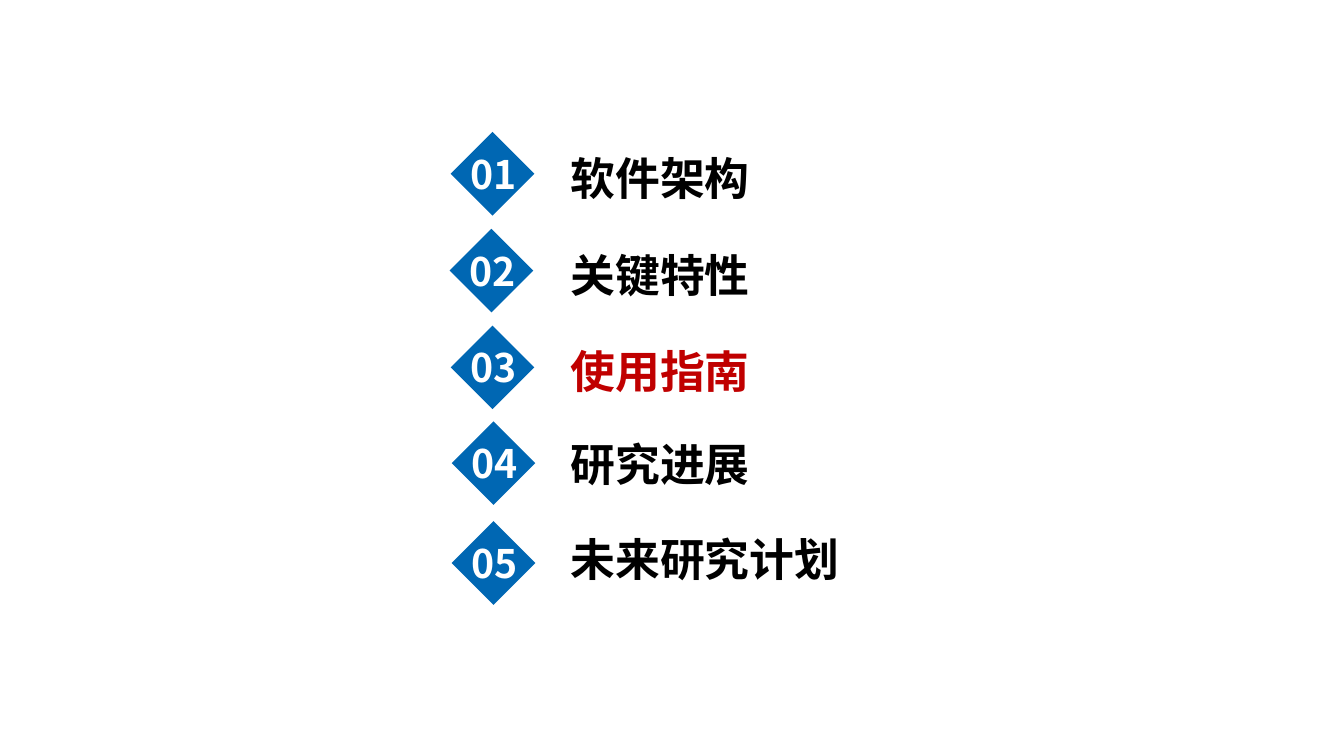
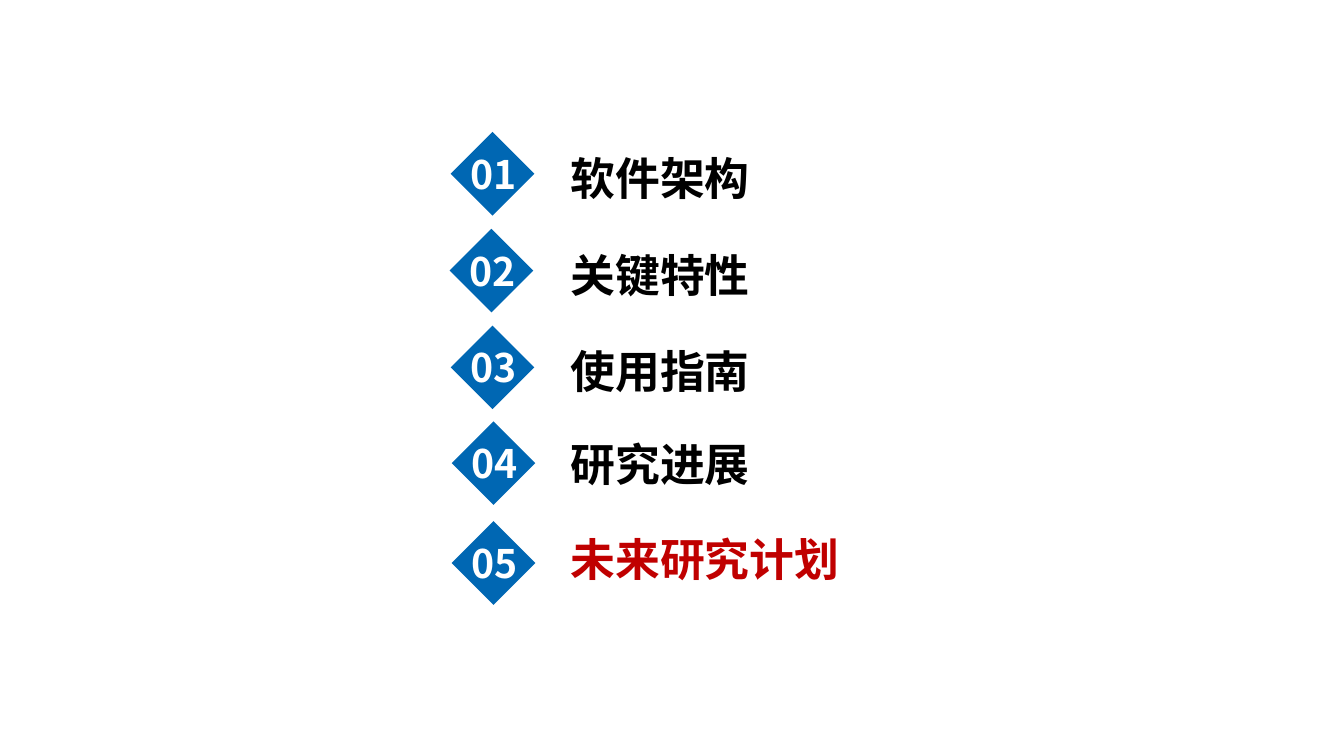
from typing import NamedTuple

from lxml import etree
from pptx import Presentation
from pptx import util as u
from pptx.dml.color import RGBColor
from pptx.enum import shapes, text
from pptx.oxml import ns
from pptx.slide import Slide

COLORS = {"blue": "0067B3", "red": "C00000", "black": "000000", "white": "FFFFFF"}
FONT = "Noto Sans CJK SC"
DIAMOND_SIZE = 0.83
NUMBER_OFFSET = 0.13
LABEL_LEFT = 5.56


class Section(NamedTuple):
    title: str
    left: float
    diamond_top: float
    label_top: float
    label_width: float


SECTIONS = [
    Section("软件架构", 4.47, 1.31, 1.45, 3.77),
    Section("关键特性", 4.46, 2.27, 2.41, 3.77),
    Section("使用指南", 4.47, 3.23, 3.36, 3.77),
    Section("研究进展", 4.48, 4.18, 4.28, 2.12),
    Section("未来研究计划", 4.48, 5.17, 5.23, 2.96),
]
HIGHLIGHTS = ["使用指南", "未来研究计划"]


def add_text(page: Slide, words: str, left: float, top: float, width: float,
             height: float, size: int, color: str,
             align: text.PP_ALIGN = text.PP_ALIGN.LEFT) -> None:
    box = page.shapes.add_textbox(
        u.Inches(left), u.Inches(top), u.Inches(width), u.Inches(height))
    frame = box.text_frame
    frame.word_wrap = True
    frame.auto_size = text.MSO_AUTO_SIZE.SHAPE_TO_FIT_TEXT
    para = frame.paragraphs[0]
    para.text = words
    para.alignment = align
    para.font.size = u.Pt(size)
    para.font.bold = True
    para.font.color.rgb = RGBColor.from_string(COLORS[color])
    para.font.name = FONT
    properties = para._p.pPr.find(ns.qn("a:defRPr"))
    etree.SubElement(properties, ns.qn("a:ea"), typeface=FONT)


def add_diamond(page: Slide, left: float, top: float) -> None:
    diamond = page.shapes.add_shape(
        shapes.MSO_SHAPE.DIAMOND, u.Inches(left), u.Inches(top),
        u.Inches(DIAMOND_SIZE), u.Inches(DIAMOND_SIZE))
    diamond.shadow.inherit = False
    diamond.fill.solid()
    diamond.fill.fore_color.rgb = RGBColor.from_string(COLORS["blue"])
    diamond.line.fill.background()


def add_section(page: Slide, number: int, section: Section, color: str) -> None:
    add_diamond(page, section.left, section.diamond_top)
    add_text(page, f"{number:02d}", section.left, section.diamond_top + NUMBER_OFFSET,
             0.85, 0.57, 28, "white", text.PP_ALIGN.CENTER)
    add_text(page, section.title, LABEL_LEFT, section.label_top,
             section.label_width, 0.64, 32, color)


def main() -> None:
    deck = Presentation()
    deck.slide_width = u.Inches(13.33)
    deck.slide_height = u.Inches(7.5)
    for highlight in HIGHLIGHTS:
        page = deck.slides.add_slide(deck.slide_layouts[6])
        for number, section in enumerate(SECTIONS, start=1):
            color = "red" if section.title == highlight else "black"
            add_section(page, number, section, color)
    deck.save("out.pptx")


if __name__ == "__main__":
    main()
